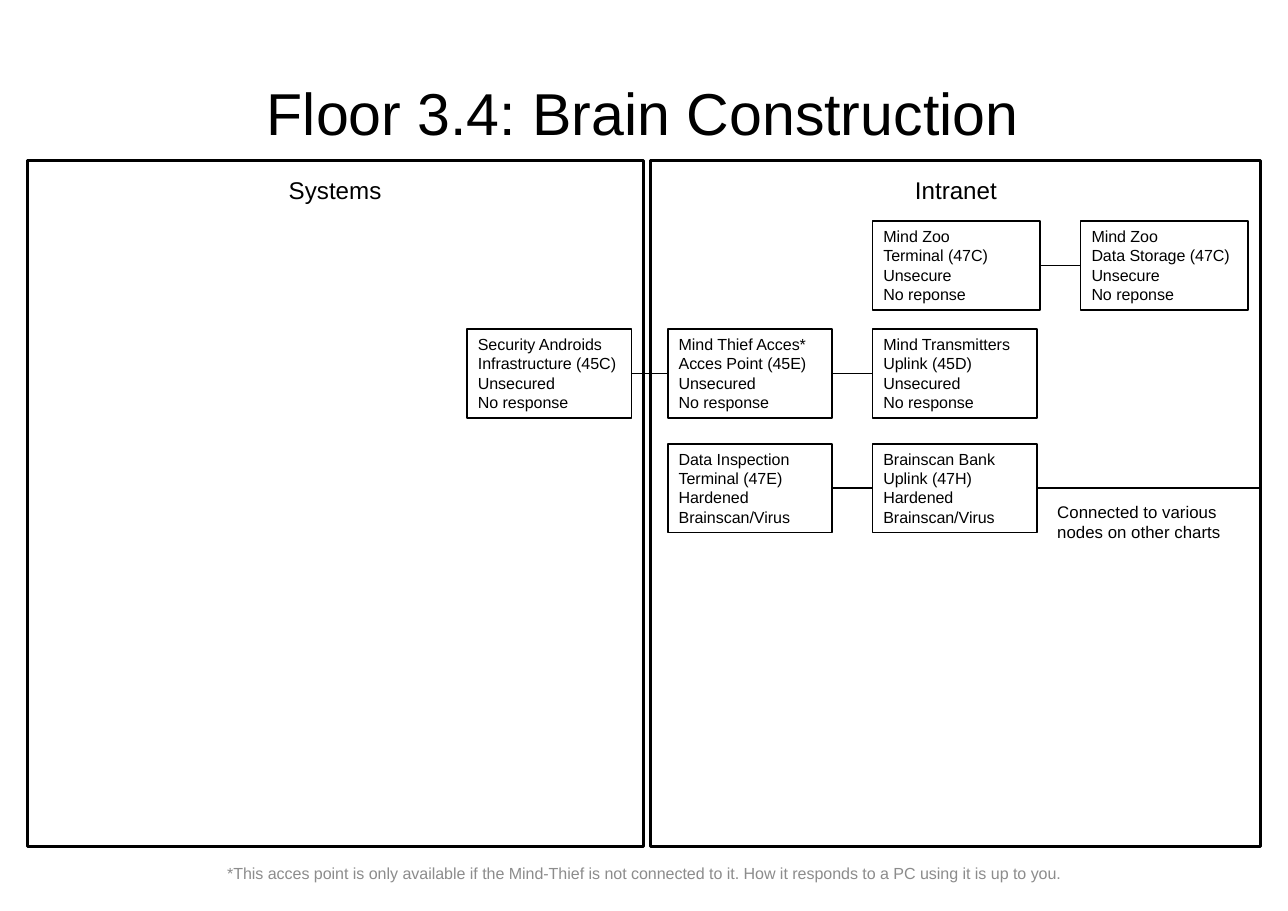
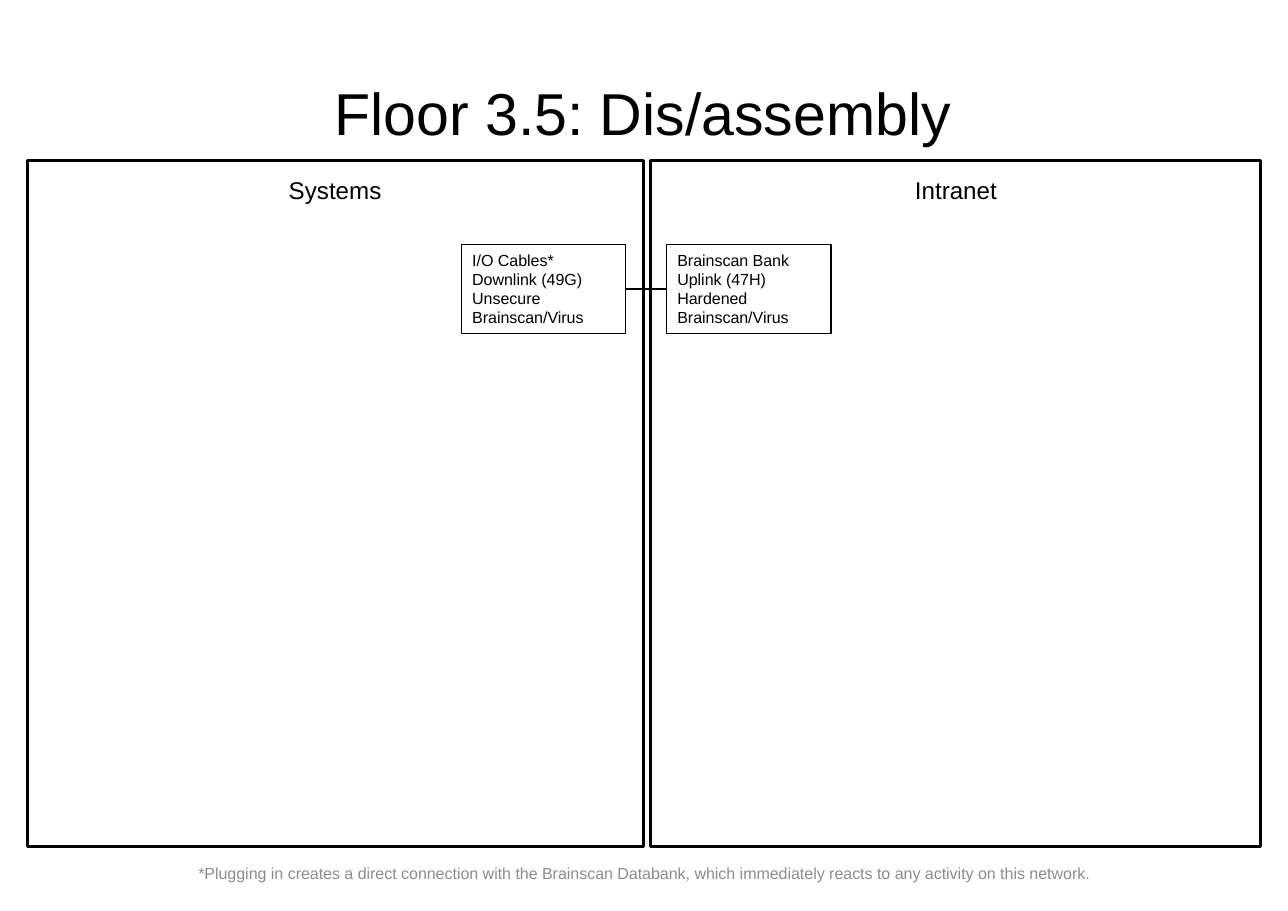
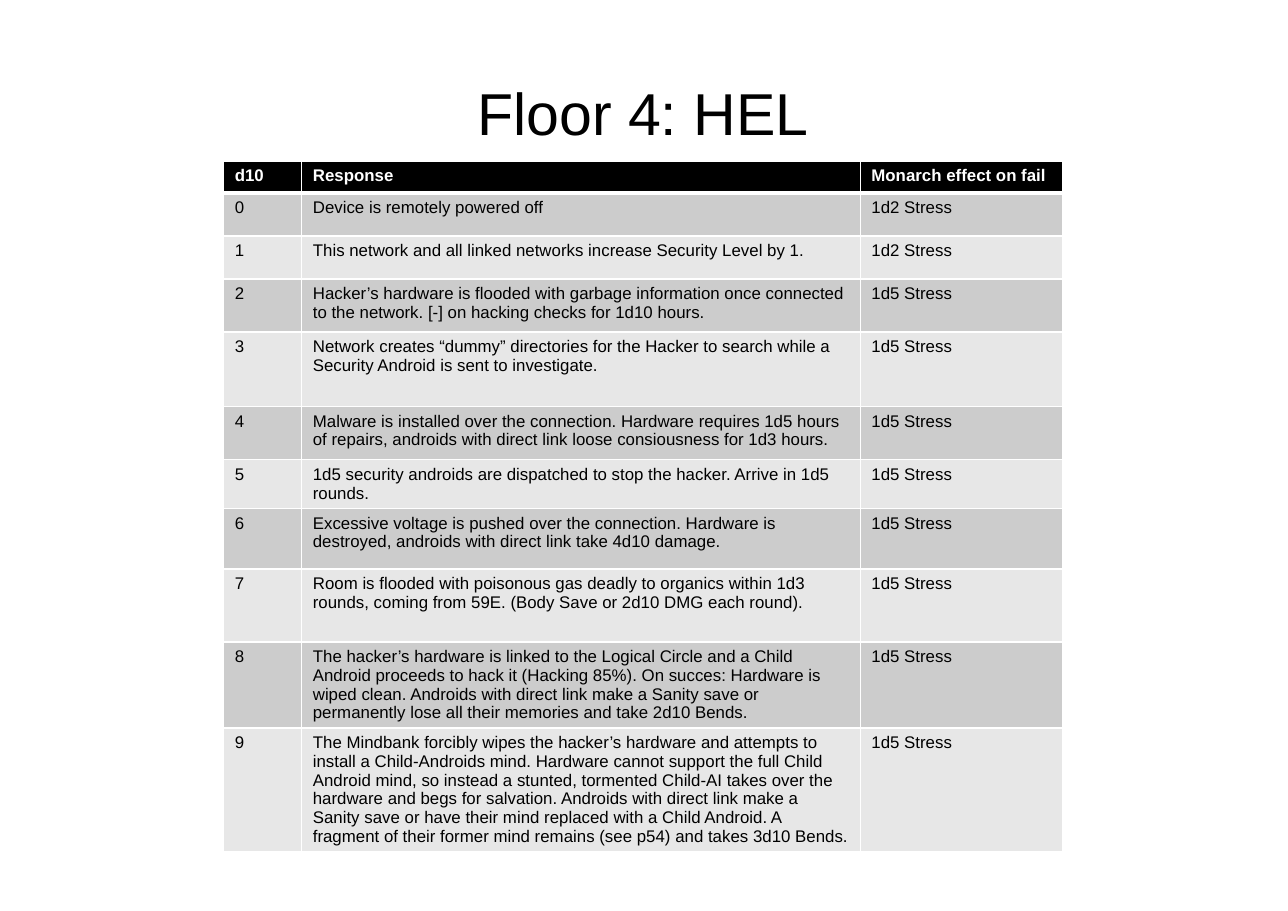
from dataclasses import dataclass
from itertools import pairwise

from lxml import etree
from pptx import Presentation
from pptx.dml.color import RGBColor
from pptx.enum import shapes, text
from pptx.oxml import ns
from pptx.util import Cm, Pt

FONT = "Arial"
BLACK, WHITE, GREY = "000000", "FFFFFF", "8C8C8C"
BANDS = ("CCCCCC", "E7E7E7")
LEFT, CENTER = text.PP_ALIGN.LEFT, text.PP_ALIGN.CENTER
TOP, MIDDLE = text.MSO_ANCHOR.TOP, text.MSO_ANCHOR.MIDDLE
LEFT_SITE, RIGHT_SITE = 1, 3
PANEL_TOP, PANEL_H = 3.71, 15.8
NODE_W, NODE_H = 3.79, 2.05


@dataclass(frozen=True)
class Panel:
    heading: str
    x: float
    w: float
    heading_x: float
    heading_w: float


@dataclass(frozen=True)
class Node:
    x: float
    lines: tuple[str, ...]
    w: float = NODE_W


@dataclass(frozen=True)
class Chain:
    """Nodes on one row, each linked to the next."""
    y: float
    nodes: tuple[Node, ...]


@dataclass(frozen=True)
class Floor:
    title: str
    footnote: str
    chains: tuple[Chain, ...]


PANELS = (
    Panel("Systems", 0.64, 14.2, 1.14, 13.18),
    Panel("Intranet", 15.01, 14.05, 15.21, 13.67),
)
PANEL_RIGHT = PANELS[-1].x + PANELS[-1].w

BRAIN_BANK = ("Brainscan Bank", "Uplink (47H)", "Hardened", "Brainscan/Virus")
COL_1, COL_2, COL_3, COL_4 = 10.77, 15.4, 20.12, 24.92

BRAIN_CONSTRUCTION = Floor(
    "Floor 3.4: Brain Construction",
    "*This acces point is only available if the Mind-Thief is not connected to it. "
    "How it responds to a PC using it is up to you.",
    (
        Chain(5.1, (
            Node(COL_3, ("Mind Zoo", "Terminal (47C)", "Unsecure", "No reponse"), 3.86),
            Node(COL_4, ("Mind Zoo", "Data Storage (47C)", "Unsecure", "No reponse"), 3.86),
        )),
        Chain(7.59, (
            Node(COL_1, ("Security Androids", "Infrastructure (45C)", "Unsecured", "No response")),
            Node(COL_2, ("Mind Thief Acces*", "Acces Point (45E)", "Unsecured", "No response")),
            Node(COL_3, ("Mind Transmitters", "Uplink (45D)", "Unsecured", "No response")),
        )),
        Chain(10.23, (
            Node(COL_2, ("Data Inspection", "Terminal (47E)", "Hardened", "Brainscan/Virus")),
            Node(COL_3, BRAIN_BANK),
        )),
    ),
)

DISASSEMBLY = Floor(
    "Floor 3.5: Dis/assembly",
    "*Plugging in creates a direct connection with the Brainscan Databank, "
    "which immediately reacts to any activity on this network.",
    (
        Chain(5.64, (
            Node(10.64, ("I/O Cables*", "Downlink (49G)", "Unsecure", "Brainscan/Virus")),
            Node(15.37, BRAIN_BANK),
        )),
    ),
)

TABLE_COLS = (1.8, 12.88, 4.67)
TABLE_ROWS = (0.74, 0.99, 0.99, 1.22, 1.72, 1.23, 1.1, 1.4, 1.68, 1.98, 2.83)
TABLE_HEAD = ("d10", "Response", "Monarch effect on fail")
RESPONSES = (
    ("Device is remotely powered off", "1d2 Stress"),
    ("This network and all linked networks increase Security Level by 1.", "1d2 Stress"),
    ("Hacker’s hardware is flooded with garbage information once connected to the "
     "network. [-] on hacking checks for 1d10 hours.", "1d5 Stress"),
    ("Network creates “dummy” directories for the Hacker to search while a Security "
     "Android is sent to investigate.", "1d5 Stress"),
    ("Malware is installed over the connection. Hardware requires 1d5 hours of repairs, "
     "androids with direct link loose consiousness for 1d3 hours.", "1d5 Stress"),
    ("1d5 security androids are dispatched to stop the hacker. Arrive in 1d5 rounds.",
     "1d5 Stress"),
    ("Excessive voltage is pushed over the connection. Hardware is destroyed, androids "
     "with direct link take 4d10 damage.", "1d5 Stress"),
    ("Room is flooded with poisonous gas deadly to organics within 1d3 rounds, coming "
     "from 59E. (Body Save or 2d10 DMG each round).", "1d5 Stress"),
    ("The hacker’s hardware is linked to the Logical Circle and a Child Android proceeds "
     "to hack it (Hacking 85%). On succes: Hardware is wiped clean. Androids with direct "
     "link make a Sanity save or permanently lose all their memories and take 2d10 Bends.",
     "1d5 Stress"),
    ("The Mindbank forcibly wipes the hacker’s hardware and attempts to install a "
     "Child-Androids mind. Hardware cannot support the full Child Android mind, so "
     "instead a stunted, tormented Child-AI takes over the hardware and begs for "
     "salvation. Androids with direct link make a Sanity save or have their mind replaced "
     "with a Child Android. A fragment of their former mind remains (see p54) and takes "
     "3d10 Bends.", "1d5 Stress"),
)


def rgb(color: str) -> RGBColor:
    return RGBColor.from_string(color)


def box(x: float, y: float, w: float, h: float) -> tuple[Cm, ...]:
    return tuple(Cm(v) for v in (x, y, w, h))


def write(tf, lines: tuple[str, ...], size: float, color: str = BLACK,
          align=LEFT, anchor=TOP, bold: bool = False) -> None:
    frame = {"word_wrap": True, "auto_size": text.MSO_AUTO_SIZE.NONE, "vertical_anchor": anchor}
    for name, value in frame.items():
        setattr(tf, name, value)
    for i, line in enumerate(lines):
        p = tf.add_paragraph() if i else tf.paragraphs[0]
        p.alignment = align
        r = p.add_run()
        r.text = line
        for name, value in {"name": FONT, "size": Pt(size), "bold": bold}.items():
            setattr(r.font, name, value)
        r.font.color.rgb = rgb(color)


def add_text(s, place: tuple[Cm, ...], line: str, size: float, **style) -> None:
    write(s.shapes.add_textbox(*place).text_frame, (line,), size, **style)


def add_rect(s, place: tuple[Cm, ...], weight: float, fill: str | None = None):
    sp = s.shapes.add_shape(shapes.MSO_SHAPE.RECTANGLE, *place)
    sp.shadow.inherit = False
    if fill:
        sp.fill.solid()
        sp.fill.fore_color.rgb = rgb(fill)
    else:
        sp.fill.background()
    sp.line.color.rgb = rgb(BLACK)
    sp.line.width = Pt(weight)
    return sp


def add_line(s, x1: float, x2: float, y: float):
    c = s.shapes.add_connector(shapes.MSO_CONNECTOR.STRAIGHT, Cm(x1), Cm(y), Cm(x2), Cm(y))
    c.line.color.rgb = rgb(BLACK)
    c.line.width = Pt(1)
    etree.SubElement(c._element.spPr, ns.qn("a:effectLst"))
    return c


def add_titled_slide(prs, title: str):
    s = prs.slides.add_slide(prs.slide_layouts[5])
    sp = s.shapes.title
    sp.left, sp.top, sp.width, sp.height = box(1.47, 0.84, 26.72, 3.5)
    write(sp.text_frame, (title,), 38.6, align=CENTER, anchor=MIDDLE)
    return s


def add_chain(s, chain: Chain) -> None:
    drawn = []
    for node in chain.nodes:
        sp = add_rect(s, box(node.x, chain.y, node.w, NODE_H), 1)
        write(sp.text_frame, node.lines, 10.5)
        drawn.append(sp)
    for a, b in pairwise(drawn):
        c = add_line(s, 0, 1, chain.y)
        c.begin_connect(a, RIGHT_SITE)
        c.end_connect(b, LEFT_SITE)


def add_floor(prs, floor: Floor):
    s = add_titled_slide(prs, floor.title)
    for panel in PANELS:
        add_rect(s, box(panel.x, PANEL_TOP, panel.w, PANEL_H), 2, WHITE)
        add_text(s, box(panel.heading_x, 3.91, panel.heading_w, 0.94), panel.heading, 15.8,
                 align=CENTER)
    add_text(s, box(0.66, 19.74, 28.42, 0.76), floor.footnote, 10.5, color=GREY,
             align=CENTER, anchor=MIDDLE)
    for chain in floor.chains:
        add_chain(s, chain)
    return s


def add_uplink_exit(s, chain: Chain) -> None:
    """Run a line from the last node of the chain to the panel edge, with its label."""
    last = chain.nodes[-1]
    add_line(s, last.x + last.w, PANEL_RIGHT, chain.y + NODE_H / 2)
    add_text(s, box(24.13, 11.43, 4.32, 1.19), "Connected to various nodes on other charts", 11)


def set_borders(cell, bottom: float | None = None) -> None:
    tc_pr = cell._tc.get_or_add_tcPr()
    weights = {"lnL": 1, "lnR": 1, "lnT": 1, "lnB": bottom or 1}
    for i, (tag, weight) in enumerate(weights.items()):
        ln = etree.Element(ns.qn(f"a:{tag}"), w=str(Pt(weight)))
        fill = etree.SubElement(ln, ns.qn("a:solidFill"))
        etree.SubElement(fill, ns.qn("a:srgbClr"), val=WHITE)
        tc_pr.insert(i, ln)


def add_response_table(s) -> None:
    rows = [TABLE_HEAD, *((str(i), *row) for i, row in enumerate(RESPONSES))]
    place = box(5.16, PANEL_TOP, sum(TABLE_COLS), sum(TABLE_ROWS))
    table = s.shapes.add_table(len(rows), len(TABLE_COLS), *place).table
    for col, w in zip(table.columns, TABLE_COLS):
        col.width = Cm(w)
    for i, (row, h) in enumerate(zip(rows, TABLE_ROWS)):
        table.rows[i].height = Cm(h)
        head = i == 0
        for j, value in enumerate(row):
            cell = table.cell(i, j)
            cell.fill.solid()
            cell.fill.fore_color.rgb = rgb(BLACK if head else BANDS[(i - 1) % 2])
            set_borders(cell, bottom=3 if head else None)
            write(cell.text_frame, (value,), 11, WHITE if head else BLACK, bold=head)


def main() -> None:
    prs = Presentation()
    prs.slide_width, prs.slide_height = Cm(29.7), Cm(21)
    s = add_floor(prs, BRAIN_CONSTRUCTION)
    add_uplink_exit(s, BRAIN_CONSTRUCTION.chains[-1])
    add_floor(prs, DISASSEMBLY)
    add_response_table(add_titled_slide(prs, "Floor 4: HEL"))
    prs.save("out.pptx")


if __name__ == "__main__":
    main()
